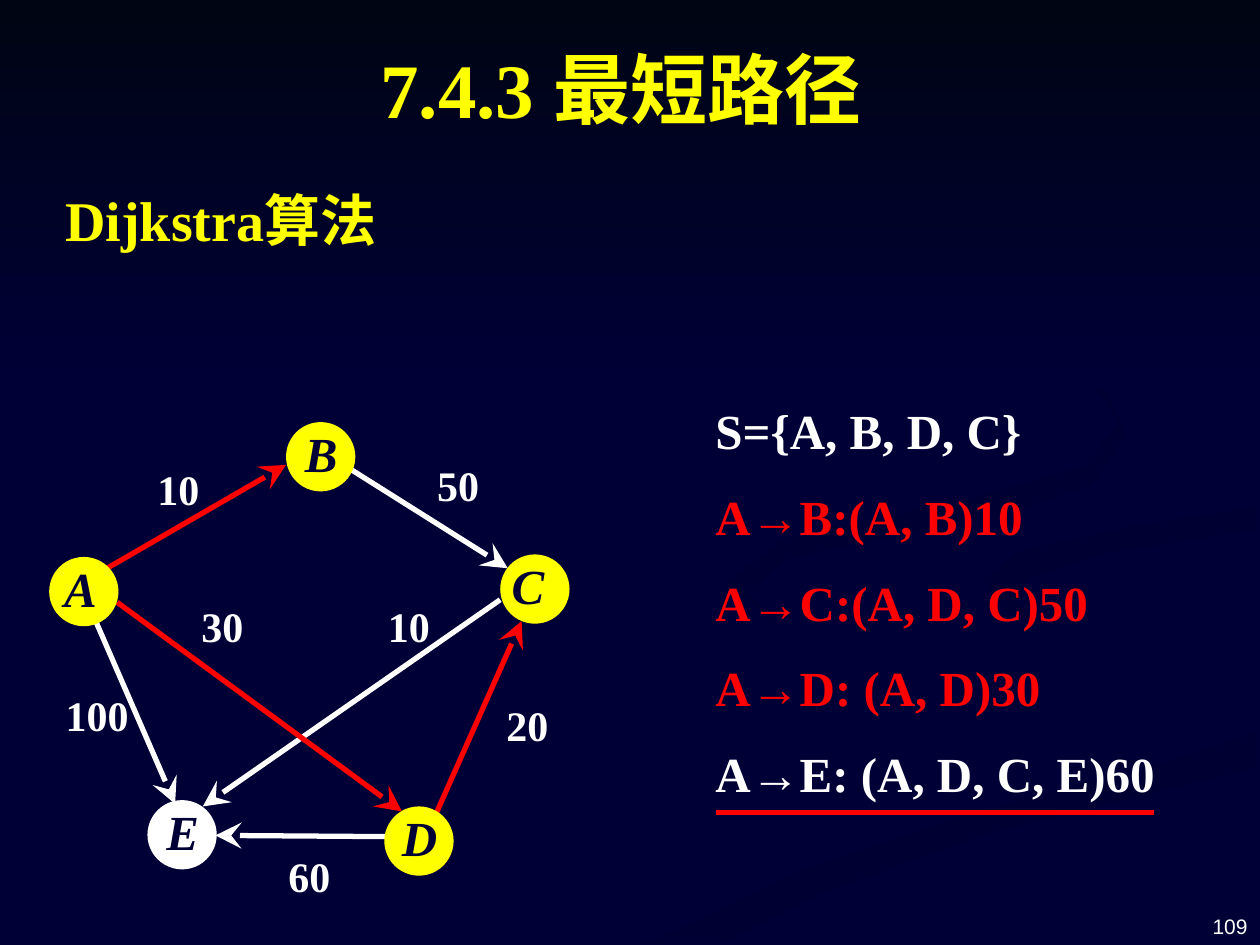
"""Build the slide on Dijkstra's shortest path algorithm."""
from dataclasses import dataclass

from lxml import etree
from pptx import Presentation
from pptx.dml.color import RGBColor
from pptx.enum.shapes import MSO_CONNECTOR, MSO_SHAPE
from pptx.enum.text import MSO_ANCHOR, PP_ALIGN
from pptx.oxml.ns import qn
from pptx.util import Inches, Pt

STRAIGHT = MSO_CONNECTOR.STRAIGHT
OVAL, RECTANGLE = MSO_SHAPE.OVAL, MSO_SHAPE.RECTANGLE
TOP, MIDDLE, BOTTOM = MSO_ANCHOR.TOP, MSO_ANCHOR.MIDDLE, MSO_ANCHOR.BOTTOM
LEFT, CENTER, RIGHT = PP_ALIGN.LEFT, PP_ALIGN.CENTER, PP_ALIGN.RIGHT


@dataclass(frozen=True)
class Theme:
    """Colours, fonts and type sizes."""
    navy: str = "000036"
    dusk: str = "000033"
    night: str = "000514"
    yellow: str = "FFFF00"
    white: str = "FFFFFF"
    red: str = "FF0000"
    serif: str = "Times New Roman"
    sans: str = "Arial"
    title: int = 44
    heading: int = 32
    body: int = 28
    weight: int = 24
    number: int = 12
    line: int = 3


@dataclass(frozen=True)
class Node:
    """A graph vertex with the left edge of its letter box."""
    name: str
    left: float
    top: float
    letter_left: float
    color: str


@dataclass(frozen=True)
class Edge:
    """A directed edge with its weight and the corner of the weight label."""
    start: tuple[float, float]
    end: tuple[float, float]
    color: str
    weight: str
    label: tuple[float, float]


@dataclass(frozen=True)
class Wave:
    """A faint background ribbon."""
    points: tuple[tuple[float, float], ...]
    colors: tuple[str, str]
    angle: int


T = Theme()
NODE_SIZE = 0.55

NODES = (
    Node("B", 2.27, 3.35, 2.34, T.yellow),
    Node("A", 0.39, 4.42, 0.43, T.yellow),
    Node("E", 1.17, 6.35, 1.24, T.white),
    Node("D", 3.05, 6.4, 3.11, T.yellow),
    Node("C", 3.97, 4.4, 3.98, T.yellow),
)
EDGES = (
    Edge((0.85, 4.51), (2.27, 3.69), T.red, "10", (1.15, 3.63)),
    Edge((3.06, 6.64), (1.71, 6.63), T.white, "60", (2.19, 6.7)),
    Edge((3.97, 4.76), (1.61, 6.4), T.white, "10", (2.98, 4.72)),
    Edge((2.76, 3.71), (4.03, 4.51), T.white, "50", (3.37, 3.6)),
    Edge((0.93, 4.78), (3.19, 6.44), T.red, "30", (1.5, 4.72)),
    Edge((3.46, 6.46), (4.14, 4.93), T.red, "20", (3.92, 5.5)),
    Edge((0.76, 4.93), (1.39, 6.38), T.white, "100", (0.52, 5.42)),
)
PATHS = (
    ("S={A, B, D, C}", T.white),
    ("A→B:(A, B)10", T.red),
    ("A→C:(A, D, C)50", T.red),
    ("A→D: (A, D)30", T.red),
    ("A→E: (A, D, C, E)60", T.white),
)
WAVES = (
    Wave(((7.81, 5.53), (7.31, 5.33), (6.42, 5.07), (5.87, 4.81), (5.75, 4.59), (5.7, 4.72),
          (6.02, 4.95), (6.97, 5.25), (7.62, 5.47), (7.86, 5.66), (7.59, 5.9), (6.52, 6.2),
          (4.99, 6.61), (3.76, 7.07), (3, 7.49), (3.61, 7.49), (4.99, 6.87), (6.51, 6.4),
          (7.69, 6.09), (8, 5.81)), (T.navy, T.dusk), 0),
    Wave(((9.43, 5.7), (9.19, 5.47), (8.5, 5.24), (7.74, 5.03), (7.33, 4.83), (7.24, 4.64),
          (7.33, 4.88), (7.66, 5.12), (8.38, 5.36), (9, 5.57), (9.18, 5.81), (8.94, 6.05),
          (9.32, 5.89)), (T.navy, T.dusk), 45),
    Wave(((5.03, 7.49), (5.71, 7.49), (6.49, 7.1), (7.85, 6.61), (9.98, 6.09), (9.98, 5.81),
          (9.36, 6.02), (7.64, 6.47), (6.3, 6.93), (5.43, 7.33)), (T.dusk, T.navy), 90),
    Wave(((7.25, 4.64), (7.59, 4.98), (8.51, 5.24), (9.31, 5.53), (9.4, 5.83), (8.81, 6.08),
          (7.43, 6.43), (6.19, 6.84), (4.77, 7.49), (5.19, 7.47), (6.3, 6.93), (7.65, 6.47),
          (9.2, 6.06), (9.99, 5.81), (9.99, 5.38), (9.04, 5.19), (8.17, 4.92), (7.81, 4.63),
          (8.11, 4.37), (8.99, 4.18), (9.99, 4.02), (9.99, 3.87), (8.74, 4.08), (7.7, 4.27)),
         (T.navy, T.navy), 0),
    Wave(((7.81, 4.6), (7.97, 4.83), (8.26, 4.96), (8.05, 4.76), (8.16, 4.59), (8.78, 4.39),
          (9.98, 4.2), (9.98, 4.02), (8.98, 4.18), (8.1, 4.37)), (T.dusk, T.navy), 45),
    Wave(((6.83, 4.3), (7.86, 4.12), (8.67, 3.84), (8.94, 3.44), (8.73, 2.99), (8.21, 2.61),
          (7.62, 2.33), (8.46, 2.79), (8.89, 3.35), (8.61, 3.7), (7.63, 3.98), (6.25, 4.26),
          (5.77, 4.62), (6.22, 5), (5.93, 4.7), (6.24, 4.44)), (T.dusk, T.navy), 45),
)


def rgb(color: str) -> RGBColor:
    """Turn a hex string into a colour."""
    return RGBColor.from_string(color)


def set_gradient(sp, colors: tuple[str, str], angle: int) -> None:
    """Fill a borderless shape with a two-stop gradient, clockwise angle."""
    sp.shadow.inherit = False
    sp.line.fill.background()
    sp.fill.gradient()
    sp.fill.gradient_angle = -angle % 360
    for stop, color in zip(sp.fill.gradient_stops, colors):
        stop.color.rgb = rgb(color)


def add_wave(slide, wave: Wave) -> None:
    """Draw a background ribbon."""
    points = [(Inches(x), Inches(y)) for x, y in wave.points]
    builder = slide.shapes.build_freeform(*points[0])
    builder.add_line_segments(points[1:], close=True)
    set_gradient(builder.convert_to_shape(), wave.colors, wave.angle)


def format_paragraph(p, size: int, color: str, align=LEFT, font: str = T.serif,
                     bold: bool = True, italic: bool = False) -> None:
    """Set the alignment and font of a paragraph."""
    p.alignment = align
    p.font.name = font
    p.font.size = Pt(size)
    p.font.bold = bold
    p.font.italic = italic
    p.font.color.rgb = rgb(color)


def add_text(slide, box: tuple[float, ...], text: str, size: int, color: str,
             anchor=TOP, **style):
    """Add a wrapped text box and return its text frame."""
    tf = slide.shapes.add_textbox(*map(Inches, box)).text_frame
    tf.word_wrap = True
    tf.vertical_anchor = anchor
    tf.text = text
    format_paragraph(tf.paragraphs[0], size, color, **style)
    return tf


def add_line(slide, start: tuple[float, float], end: tuple[float, float],
             color: str, arrow: bool = False) -> None:
    """Draw a straight line, with an arrowhead at its end if asked."""
    cxn = slide.shapes.add_connector(STRAIGHT, *map(Inches, start + end))
    cxn.line.color.rgb = rgb(color)
    cxn.line.width = Pt(T.line)
    if arrow:
        etree.SubElement(cxn.line._get_or_add_ln(), qn("a:tailEnd"),
                         type="stealth", w="lg", len="lg")
    etree.SubElement(cxn._element.spPr, qn("a:effectLst"))


def add_node(slide, node: Node) -> None:
    """Draw a vertex and its letter."""
    sp = slide.shapes.add_shape(OVAL, *map(Inches, (node.left, node.top, NODE_SIZE, NODE_SIZE)))
    sp.shadow.inherit = False
    sp.fill.solid()
    sp.fill.fore_color.rgb = rgb(node.color)
    sp.line.fill.background()
    tf = add_text(slide, (node.letter_left, node.top - 0.05, 0.51, 0.65),
                  node.name, T.body, T.navy, italic=True)
    tf.margin_left, tf.margin_top = Inches(0.08), Inches(0.06)
    tf.margin_right, tf.margin_bottom = 0, Inches(0.01)


def main() -> None:
    """Build and save the slide."""
    prs = Presentation()
    prs.slide_width, prs.slide_height = Inches(10), Inches(7.5)
    slide = prs.slides.add_slide(prs.slide_layouts[5])
    slide.background.fill.solid()
    slide.background.fill.fore_color.rgb = rgb(T.navy)
    for wave in WAVES:
        add_wave(slide, wave)
    sky = slide.shapes.add_shape(RECTANGLE, 0, 0, prs.slide_width, Inches(3.08))
    set_gradient(sky, (T.night, T.navy), 90)

    title = slide.shapes.title
    title.left, title.top, title.width, title.height = map(Inches, (0.43, 0.16, 9, 1.07))
    title.text_frame.text = "7.4.3 最短路径"
    title.text_frame.vertical_anchor = MIDDLE
    format_paragraph(title.text_frame.paragraphs[0], T.title, T.yellow, CENTER)
    slide.shapes._spTree.append(title._element)

    add_text(slide, (0.42, 1.42, 5.08, 0.63), "Dijkstra算法", T.heading, T.yellow)
    tf = add_text(slide, (5.58, 3.13, 3.98, 3.37), PATHS[0][0], T.body, PATHS[0][1])
    for text, color in PATHS[1:]:
        p = tf.add_paragraph()
        p.text = text
        p.space_before = Pt(15.4)
        format_paragraph(p, T.body, color)
    add_line(slide, (5.68, 6.45), (9.16, 6.45), T.red)

    for edge in EDGES:
        add_line(slide, edge.start, edge.end, edge.color, arrow=True)
        tf = add_text(slide, (*edge.label, 0.68, 0.5), edge.weight, T.weight, T.white)
        tf.margin_left, tf.margin_right = Inches(0.1 if len(edge.weight) < 3 else 0), 0
        tf.word_wrap = True
    for node in NODES:
        add_node(slide, node)
    add_text(slide, (7.67, 6.98, 2.33, 0.52), "109", T.number, T.white, BOTTOM,
             align=RIGHT, font=T.sans, bold=False)
    prs.save("out.pptx")


if __name__ == "__main__":
    main()
